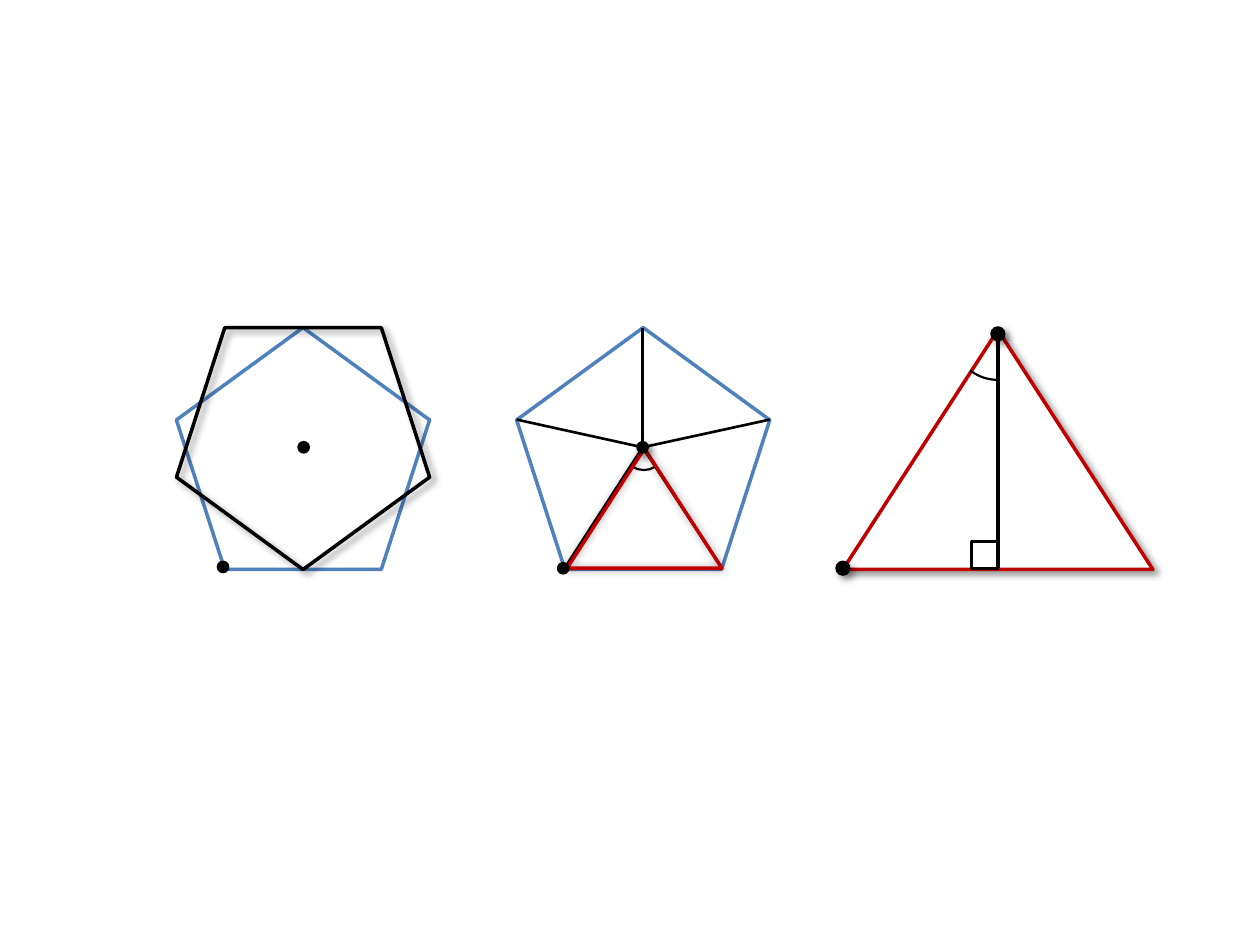
import pptx
import pptx.util
import pptx.dml.color
import pptx.enum.shapes
import pptx.oxml
import pptx.oxml.ns

KIND = pptx.enum.shapes.MSO_SHAPE
BLACK, WHITE, BLUE, RED = "000000", "FFFFFF", "4F81BD", "C00000"
SOFT, GLOW = (4, 3), (5, 0)

PENTA = (2.01, 1.92)
LEFT, MID, TOP = 1.4, 4.1, 2.6
HUB = (5.1, 3.55)
SPOKES = [
    (HUB, (5.73, 4.51)),
    ((5.1, 2.6), HUB),
    ((4.1, 3.33), HUB),
    ((4.48, 4.51), HUB),
    (HUB, (6.11, 3.33)),
]
APEX, FOOT = (7.92, 2.62), (7.92, 4.51)
DOTS = [
    (7.92, 2.65, 0.1, SOFT),
    (6.69, 4.51, 0.1, SOFT),
    (1.77, 4.5, 0.08, None),
]

deck = pptx.Presentation()
deck.slide_width = pptx.util.Inches(10)
deck.slide_height = pptx.util.Inches(7.5)
page = deck.slides.add_slide(deck.slide_layouts[6])


def color(text):
    return pptx.dml.color.RGBColor.from_string(text)


def pen(item, ink, width):
    item.line.color.rgb = color(ink)
    item.line.width = pptx.util.Pt(width)


def shade(item, blur, gap):
    effects = item._element.spPr.find(pptx.oxml.ns.qn("a:effectLst"))
    effects.append(pptx.oxml.parse_xml(
        f'<a:outerShdw {pptx.oxml.ns.nsdecls("a")} blurRad="{blur * 12700}" '
        f'dist="{gap * 12700}" dir="2700000" algn="tl" rotWithShape="0">'
        '<a:srgbClr val="000000"><a:alpha val="40000"/></a:srgbClr>'
        '</a:outerShdw>'))


def shape(kind, left, top, wide, high, ink=BLACK, width=2, fill=None,
          turn=0, shadow=None, angles=()):
    box = map(pptx.util.Inches, (left, top, wide, high))
    item = page.shapes.add_shape(kind, *box)
    item.rotation = turn
    for place, angle in enumerate(angles):
        item.adjustments[place] = angle * 0.6
    if fill:
        item.fill.solid()
        item.fill.fore_color.rgb = color(fill)
    else:
        item.fill.background()
    pen(item, ink, width)
    item.shadow.inherit = False
    if shadow:
        shade(item, *shadow)


def dot(x, y, size, shadow=None):
    shape(KIND.OVAL, x - size / 2, y - size / 2, size, size,
          width=1.5, fill=BLACK, shadow=shadow)


def arc(x, y, size, start, end):
    shape(KIND.ARC, x - size / 2, y - size / 2, size, size,
          width=1.25, turn=180, angles=(start, end))


def line(start, end, width):
    ends = map(pptx.util.Inches, (*start, *end))
    item = page.shapes.add_connector(
        pptx.enum.shapes.MSO_CONNECTOR.STRAIGHT, *ends)
    pen(item, BLACK, width)
    item._element.spPr.append(pptx.oxml.parse_xml(
        f'<a:effectLst {pptx.oxml.ns.nsdecls("a")}/>'))


shape(KIND.REGULAR_PENTAGON, MID, TOP, *PENTA, ink=BLUE)
arc(5.11, 3.56, 0.34, 234.38, 307.14)
shape(KIND.REGULAR_PENTAGON, LEFT, TOP, *PENTA, ink=BLUE, fill=WHITE)
shape(KIND.REGULAR_PENTAGON, LEFT, TOP, *PENTA, turn=180, shadow=SOFT)
dot(2.41, HUB[1], 0.08)

for start, end in SPOKES:
    line(start, end, 1.5)

shape(KIND.ISOSCELES_TRIANGLE, 6.69, 2.62, 2.46, 1.9,
      ink=RED, fill=WHITE, shadow=SOFT)
line(APEX, FOOT, 2)
shape(KIND.RECTANGLE, 7.71, 4.3, 0.21, 0.21, width=1.5)
arc(7.92, 2.65, 0.73, 270, 307.14)
for spot in DOTS:
    dot(*spot)

shape(KIND.ISOSCELES_TRIANGLE, 4.5, 3.56, 1.23, 0.95, ink=RED, shadow=GLOW)
dot(*HUB, 0.08, SOFT)
dot(4.47, 4.51, 0.08)

deck.save("out.pptx")
